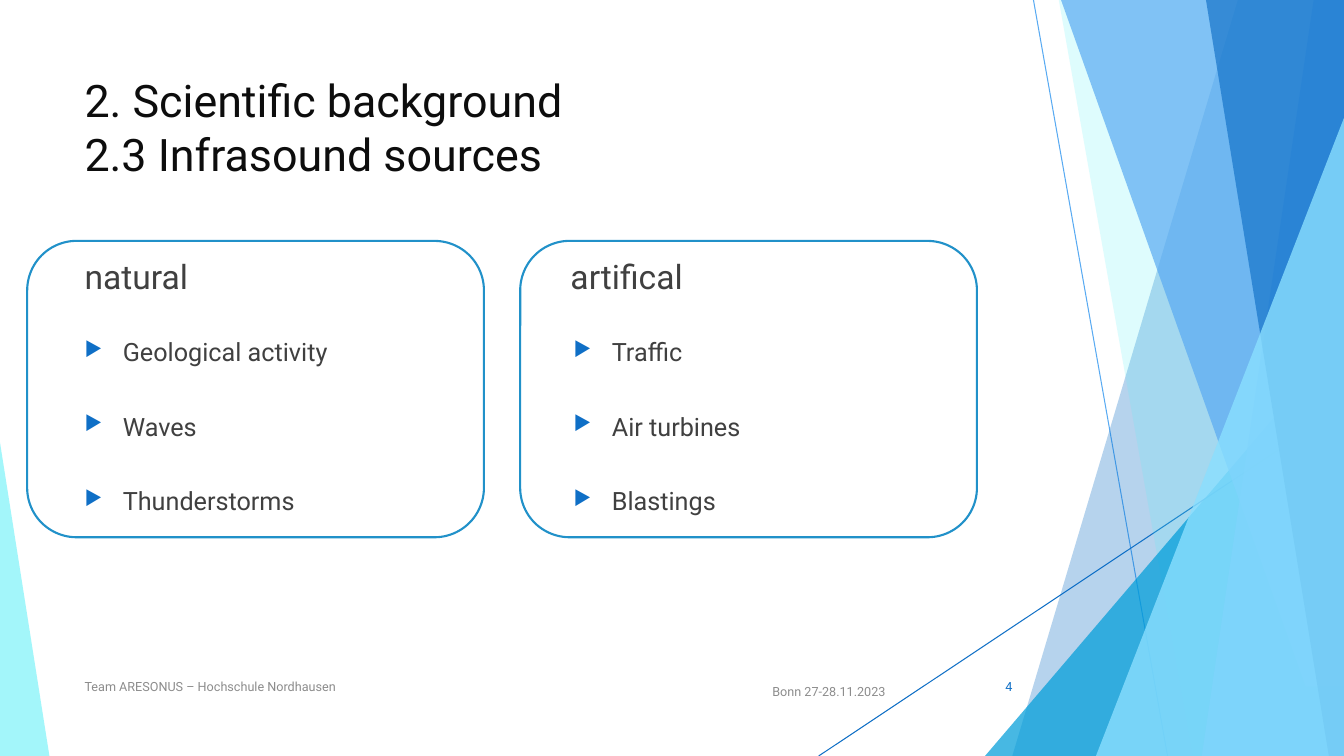
from lxml import etree
from pptx import Presentation
from pptx.dml.color import RGBColor
from pptx.enum.shapes import MSO_CONNECTOR, MSO_SHAPE
from pptx.enum.text import MSO_ANCHOR, PP_ALIGN
from pptx.oxml.ns import qn
from pptx.util import Inches, Pt

STRAIGHT = MSO_CONNECTOR.STRAIGHT
TRIANGLE = MSO_SHAPE.ISOSCELES_TRIANGLE
ROUNDED = MSO_SHAPE.FLOWCHART_ALTERNATE_PROCESS
TOP, MIDDLE, BOTTOM = MSO_ANCHOR.TOP, MSO_ANCHOR.MIDDLE, MSO_ANCHOR.BOTTOM
LEFT, RIGHT = PP_ALIGN.LEFT, PP_ALIGN.RIGHT

COLORS = {
    "white": "FFFFFF", "title": "0D0D0D", "body": "404040", "footer": "8C8C8C",
    "blue": "0F6FC6", "sky": "59AAF2", "cyan": "009DD9", "aqua": "5EF0F7",
    "mint": "94F5FA", "ice": "8ADFFF", "outline": "2191C9",
}
WIDTH, HEIGHT = 13.33, 7.5

prs = Presentation()
prs.slide_width, prs.slide_height = Inches(WIDTH), Inches(HEIGHT)
slide = prs.slides.add_slide(prs.slide_layouts[6])
shapes = slide.shapes


def paint(shape, color, alpha=100):
    shape.shadow.inherit = False
    shape.fill.solid()
    shape.fill.fore_color.rgb = RGBColor.from_string(COLORS[color])
    shape.line.fill.background()
    if alpha < 100:
        rgb = shape.fill._xPr.find(".//" + qn("a:srgbClr"))
        etree.SubElement(rgb, qn("a:alpha"), val=str(alpha * 1000))


def add_text(box, lines, size, color, anchor=TOP, paragraph_format=None):
    frame = shapes.add_textbox(*map(Inches, box)).text_frame
    frame.word_wrap = True
    frame.vertical_anchor = anchor
    frame.text = "\n".join(lines)
    font_format = {"name": "Roboto", "size": Pt(size)}
    for paragraph in frame.paragraphs:
        for name, value in (paragraph_format or {}).items():
            setattr(paragraph, name, value)
        for run in paragraph.runs:
            for name, value in font_format.items():
                setattr(run.font, name, value)
            run.font.color.rgb = RGBColor.from_string(COLORS[color])
    return frame


# Thin background lines
for start, end, color in [
    ((10.25, 0), (11.58, HEIGHT), "sky"),
    ((WIDTH, 4.03), (8.12, HEIGHT), "blue"),
]:
    ray = shapes.add_connector(STRAIGHT, *map(Inches, start + end))
    ray.line.color.rgb = RGBColor.from_string(COLORS[color])
    ray.line.width = Pt(0.75)
    etree.SubElement(ray._element.spPr, qn("a:effectLst"))

# Background facets, back to front: bands run from the top edge down to
# the given bottom, triangles have their apex at the left (0) or right (1)
for kind, geometry, color, alpha in [
    ("band", (12.28, 10.04, HEIGHT), "blue", 30),
    ("band", (10.5, 11.83, HEIGHT), "aqua", 20),
    ("triangle", (9.77, 3.33, 3.56, 1), "cyan", 72),
    ("band", (10.52, 12.95, 6.81), "sky", 70),
    ("band", (13.03, 11.92, HEIGHT), "sky", 70),
    ("band", (11.96, 13.18, HEIGHT), "blue", 65),
    ("triangle", (0, 4.39, 0.49, 0), "mint", 85),
    ("triangle", (10.87, 1.17, 2.46, 1), "ice", 80),
]:
    if kind == "band":
        top_left, bottom_left, bottom = map(Inches, geometry)
        top, right = Inches(-0.01), Inches(WIDTH)
        outline = shapes.build_freeform(top_left, top)
        outline.add_line_segments(
            [(right, top), (right, bottom), (bottom_left, bottom)])
        facet = outline.convert_to_shape()
    else:
        left, top, width, apex = geometry
        facet = shapes.add_shape(
            TRIANGLE, *map(Inches, (left, top, width, HEIGHT - top)))
        facet.adjustments[0] = apex
    paint(facet, color, alpha)

# Frames around the two source groups
for left in (5.16, 0.27):
    card = shapes.add_shape(ROUNDED, *map(Inches, (left, 2.39, 4.53, 2.94)))
    paint(card, "white")
    card.line.color.rgb = RGBColor.from_string(COLORS["outline"])
    card.line.width = Pt(1.5)

# Title
add_text((0.74, 0.67, 9.4, 1.44),
         ["2. Scientific background\v2.3 Infrasound sources"], 32, "title")

# Headings and bulleted sources
spacing = {"line_spacing": 2.0, "space_before": Pt(10)}
for heading, heading_left, list_left, sources in [
    ("natural", 0.74, 0.74, ["Geological activity", "Waves", "Thunderstorms"]),
    ("artifical", 5.56, 5.59, ["Traffic", "Air turbines", "Blastings"]),
]:
    add_text((heading_left, 2.36, 4.58, 0.63), [heading], 24, "body",
             BOTTOM, spacing)
    source_list = add_text((list_left, 2.99, 4.58, 3.61), sources, 18, "body",
                           TOP, spacing)
    for paragraph in source_list.paragraphs:
        props = paragraph._p.get_or_add_pPr()
        props.set("marL", str(Inches(0.38)))
        props.set("indent", str(-Inches(0.38)))
        bullet_color = etree.SubElement(props, qn("a:buClr"))
        etree.SubElement(bullet_color, qn("a:srgbClr"), val=COLORS["blue"])
        etree.SubElement(props, qn("a:buSzPct"), val="80000")
        etree.SubElement(props, qn("a:buChar"), char="\u25b6")

# Footer: date, team and page number
for box, text, color, alignment in [
    ((7.37, 6.71, 1.51, 0.3), "Bonn 27-28.11.2023", "footer", RIGHT),
    ((0.74, 6.61, 6.89, 0.4), "Team ARESONUS – Hochschule Nordhausen",
     "footer", LEFT),
    ((9.39, 6.61, 0.75, 0.4), "4", "blue", RIGHT),
]:
    add_text(box, [text], 9, color, MIDDLE, {"alignment": alignment})

prs.save("out.pptx")
